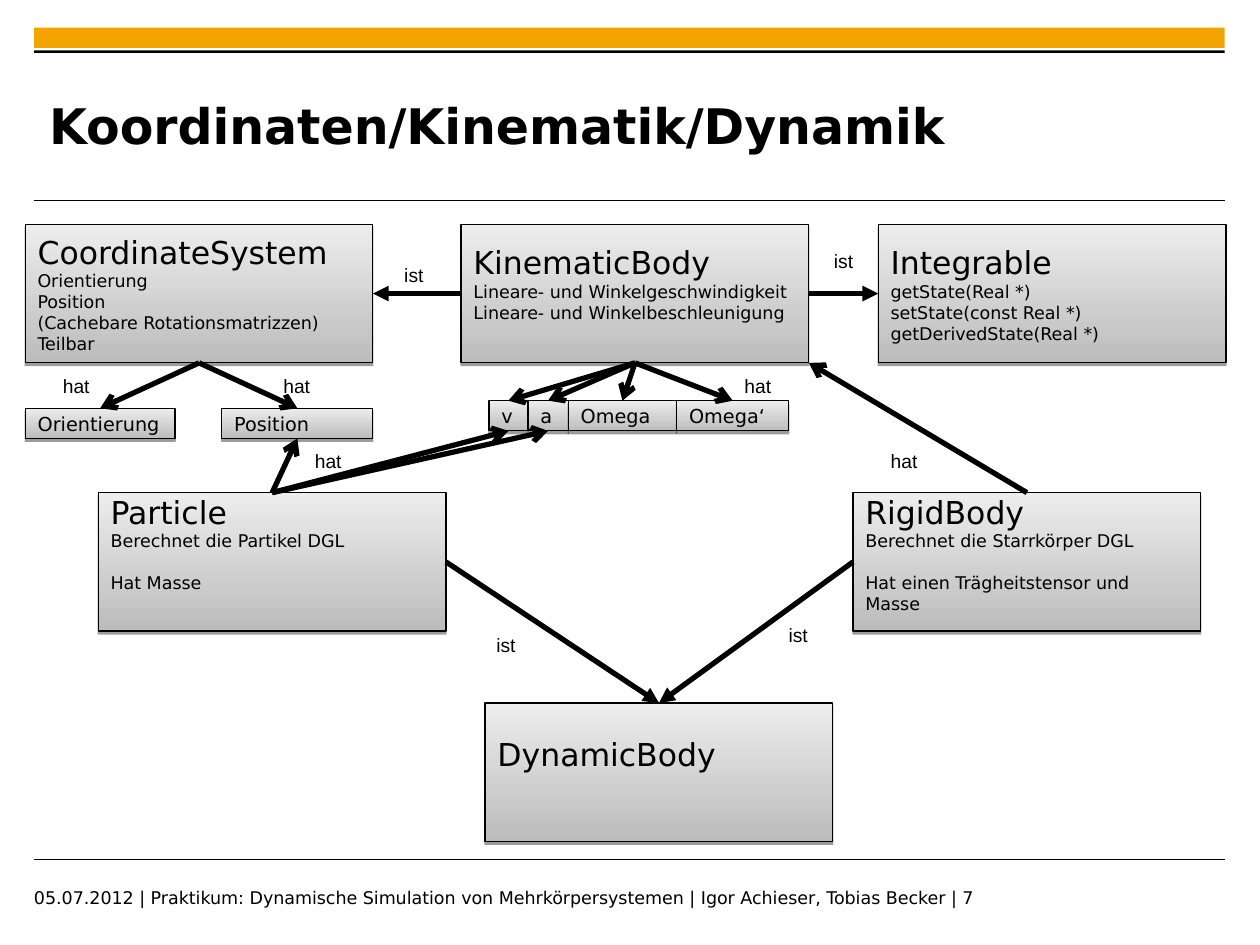
"""Build the class relation slide for coordinates, kinematics and dynamics."""
from dataclasses import dataclass
from typing import NamedTuple

from lxml.etree import SubElement
from pptx import Presentation
from pptx.dml.color import RGBColor
from pptx.enum.shapes import MSO_CONNECTOR as CONN, MSO_SHAPE as SHAPE
from pptx.enum.text import MSO_ANCHOR as ANCHOR, MSO_AUTO_SIZE as AUTO, PP_ALIGN as ALIGN
from pptx.oxml.ns import qn
from pptx.util import Inches, Pt

SANS, LABEL_FONT = "DejaVu Sans", "Arial"
BLACK, ORANGE, DARK, LIGHT = "000000", "F5A300", "BCBCBC", "EDEDED"
TOP, LEFT, BOTTOM, RIGHT = range(4)
BIG_W, BIG_H, SMALL_H = 2.76, 1.1, 0.24
ROW_1, ROW_2, ROW_3 = 1.78, 3.91, 5.58
LINE_10, LINE_18 = 0.16, 0.29


@dataclass(frozen=True)
class Box:
    name: str
    left: float
    top: float
    width: float = BIG_W
    height: float = BIG_H
    size: int = 18
    details: tuple[str, ...] = ()
    detail_gap: float = 0
    anchor: ANCHOR = ANCHOR.MIDDLE
    inset_top: float = 0.05
    inset_bottom: float = 0.05


class Link(NamedTuple):
    start: str
    start_side: int
    end: str
    end_side: int | None
    head: str = "arrow"


class Label(NamedTuple):
    text: str
    left: float
    top: float
    width: float


def small(name: str, left: float, top: float, width: float) -> Box:
    """Describe a member box with a single line of text."""
    return Box(name, left, top, width, SMALL_H, 11)


def ist(left: float, top: float) -> Label:
    """Describe an inheritance label."""
    return Label("ist", left, top, 0.35)


def hat(left: float, top: float) -> Label:
    """Describe a membership label."""
    return Label("hat", left, top, 0.41)


BOXES = [
    Box("CoordinateSystem", 0.2, ROW_1, details=(
        "Orientierung", "Position", "(Cachebare Rotationsmatrizzen)", "Teilbar")),
    Box("KinematicBody", 3.66, ROW_1, inset_bottom=0.05 + LINE_10, details=(
        "Lineare- und Winkelgeschwindigkeit", "Lineare- und Winkelbeschleunigung")),
    Box("Integrable", 6.97, ROW_1, details=(
        "getState(Real *)", "setState(const Real *)", "getDerivedState(Real *)")),
    Box("DynamicBody", 3.85, ROW_3, inset_bottom=0.05 + LINE_18),
    Box("Particle", 0.78, ROW_2, anchor=ANCHOR.TOP, inset_top=0, detail_gap=LINE_10,
        details=("Berechnet die Partikel DGL", "Hat Masse")),
    Box("RigidBody", 6.77, ROW_2, anchor=ANCHOR.TOP, inset_top=0, detail_gap=LINE_10,
        details=("Berechnet die Starrkörper DGL", "Hat einen Trägheitstensor und Masse")),
    small("Position", 1.76, 3.24, 1.2),
    small("Orientierung", 0.2, 3.24, 1.19),
    small("v", 3.88, 3.18, 0.31),
    small("a", 4.19, 3.18, 0.32),
    small("Omega", 4.51, 3.18, 0.86),
    small("Omega‘", 5.37, 3.18, 0.89),
]
LINKS = [
    Link("KinematicBody", LEFT, "CoordinateSystem", RIGHT, "triangle"),
    Link("KinematicBody", RIGHT, "Integrable", LEFT, "triangle"),
    *(Link("CoordinateSystem", BOTTOM, part, TOP) for part in ("Position", "Orientierung")),
    *(Link("Particle", TOP, part, BOTTOM) for part in ("Position", "v", "a")),
    *(Link("KinematicBody", BOTTOM, part, TOP) for part in ("v", "a", "Omega", "Omega‘")),
    Link("RigidBody", TOP, "KinematicBody", None),
    Link("Particle", RIGHT, "DynamicBody", TOP, "triangle"),
    Link("RigidBody", LEFT, "DynamicBody", TOP, "triangle"),
]
LABELS = [
    ist(3.11, 2.04), ist(6.52, 1.93), ist(3.84, 4.98), ist(6.16, 4.9),
    hat(2.15, 2.92), hat(0.4, 2.92), hat(2.4, 3.52), hat(5.81, 2.92), hat(6.97, 3.52),
]


def color(value: str) -> RGBColor:
    """Turn a hex string into a colour."""
    return RGBColor.from_string(value)


def style(p, size: float, font: str = SANS, bold: bool = False) -> None:
    """Format the runs of a left-aligned paragraph."""
    p.alignment = ALIGN.LEFT
    for r in p.runs:
        r.font.name, r.font.size, r.font.bold = font, Pt(size), bold
        r.font.color.rgb = color(BLACK)


def add_text(slide, text: str, left: float, top: float, width: float, height: float,
             size: float, font: str = SANS, bold: bool = False):
    """Add a one-paragraph text box and return its text frame."""
    tf = slide.shapes.add_textbox(*map(Inches, (left, top, width, height))).text_frame
    tf.text = text
    style(tf.paragraphs[0], size, font, bold)
    return tf


def add_plain_text(slide, *args, anchor: ANCHOR = ANCHOR.TOP, **kwargs) -> None:
    """Add a wrapping text box without insets."""
    tf = add_text(slide, *args, **kwargs)
    tf.word_wrap, tf.vertical_anchor = True, anchor
    tf.margin_left = tf.margin_top = tf.margin_right = tf.margin_bottom = 0


def add_bar(slide, top: float, height: float, fill: str) -> None:
    """Add a solid bar across the slide."""
    s = slide.shapes.add_shape(SHAPE.RECTANGLE, *map(Inches, (0.27, top, 9.45, height)))
    s.shadow.inherit = False
    s.fill.solid()
    s.fill.fore_color.rgb = color(fill)
    s.line.fill.background()


def add_line(slide, x1, y1, x2, y2, width: float):
    """Add a black straight connector without a shadow."""
    s = slide.shapes.add_connector(CONN.STRAIGHT, x1, y1, x2, y2)
    s.line.color.rgb, s.line.width = color(BLACK), Pt(width)
    SubElement(s._element.spPr, qn("a:effectLst"))
    return s


def add_drop_shadow(s) -> None:
    """Give a shape a hard shadow just below it."""
    s.shadow.inherit = False
    effects = s._element.spPr.find(qn("a:effectLst"))
    shadow = SubElement(effects, qn("a:outerShdw"), blurRad="0", dist=str(Pt(1.6)),
                        dir="5400000", rotWithShape="0")
    tint = SubElement(shadow, qn("a:srgbClr"), val=BLACK)
    SubElement(tint, qn("a:alpha"), val="38000")


def add_box(slide, box: Box):
    """Add a gradient class box with its heading and details."""
    s = slide.shapes.add_shape(
        SHAPE.RECTANGLE, *map(Inches, (box.left, box.top, box.width, box.height)))
    s.fill.gradient()
    s.fill.gradient_angle = 90
    for stop, shade in zip(s.fill.gradient_stops, (DARK, LIGHT)):
        stop.color.rgb = color(shade)
    s.line.color.rgb, s.line.width = color(BLACK), Pt(0.75)
    add_drop_shadow(s)
    tf = s.text_frame
    tf.word_wrap, tf.vertical_anchor = True, box.anchor
    tf.margin_top, tf.margin_bottom = Inches(box.inset_top), Inches(box.inset_bottom)
    tf.text = "\n".join((box.name, *box.details))
    for i, p in enumerate(tf.paragraphs):
        style(p, 10 if i else box.size)
        if i > 1:
            p.space_before = Inches(box.detail_gap)
    return s


def add_link(slide, link: Link, shapes: dict) -> None:
    """Add an arrow between two boxes; without an end side it meets the lower right corner."""
    end = shapes[link.end]
    s = add_line(slide, 0, 0, end.left + end.width, end.top + end.height, 3)
    s.begin_connect(shapes[link.start], link.start_side)
    if link.end_side is not None:
        s.end_connect(end, link.end_side)
    SubElement(s.line._get_or_add_ln(), qn("a:tailEnd"), type=link.head)


def main() -> None:
    """Draw the slide and save it."""
    prs = Presentation()
    prs.slide_width, prs.slide_height = Inches(10), Inches(7.5)
    slide = prs.slides.add_slide(prs.slide_layouts[6])
    add_bar(slide, 0.22, 0.16, ORANGE)
    add_bar(slide, 0.4, 0.02, BLACK)
    for y in (1.59, 6.82):
        add_line(slide, *map(Inches, (0.27, y, 9.72, y)), 0.6)
    add_plain_text(slide, "Koordinaten/Kinematik/Dynamik", 0.39, 0.53, 7.52, 0.92, 28,
                   bold=True, anchor=ANCHOR.MIDDLE)
    add_plain_text(slide, "05.07.2012 | Praktikum: Dynamische Simulation von Mehrkörpersystemen"
                   " | Igor Achieser, Tobias Becker | 7", 0.27, 7.04, 7.87, 0.25, 10)
    shapes = {box.name: add_box(slide, box) for box in BOXES}
    for link in LINKS:
        add_link(slide, link, shapes)
    for text, left, top, width in LABELS:
        tf = add_text(slide, text, left, top, width, 0.29, 11, LABEL_FONT)
        tf.word_wrap, tf.auto_size = False, AUTO.SHAPE_TO_FIT_TEXT
    prs.save("out.pptx")


if __name__ == "__main__":
    main()
